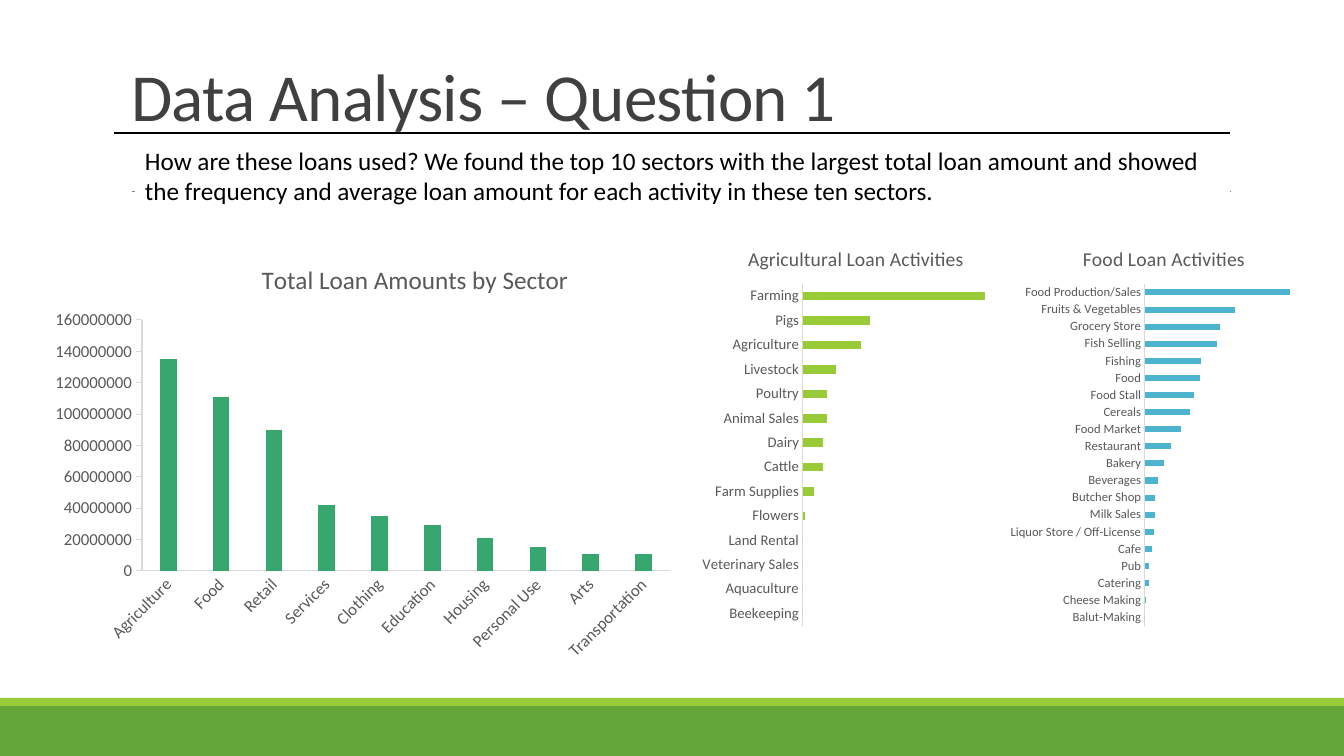
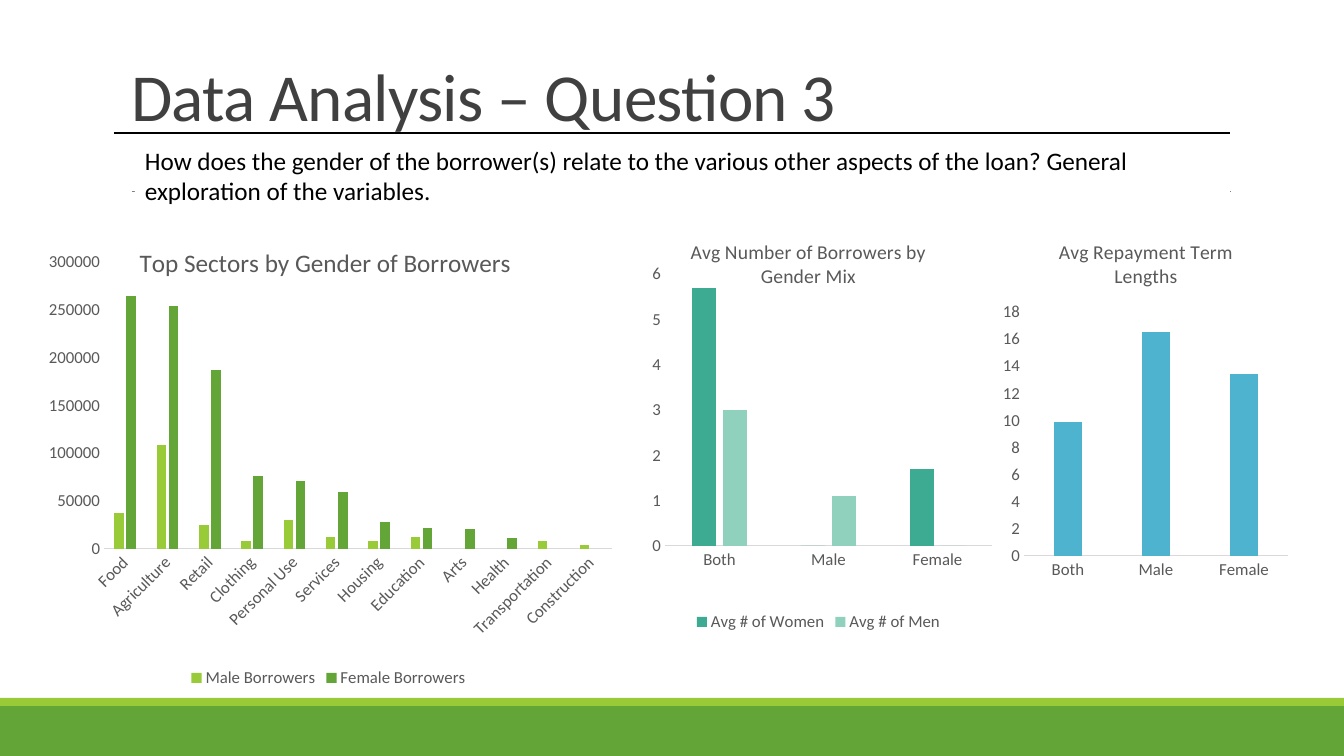
from lxml.etree import SubElement
from pptx import Presentation
from pptx.chart.data import CategoryChartData
from pptx.dml.color import RGBColor
from pptx.enum.chart import XL_CHART_TYPE as CT, XL_LEGEND_POSITION as LEGEND, XL_TICK_MARK as TICK
from pptx.enum.shapes import MSO_CONNECTOR as CONN, MSO_SHAPE as SHAPE
from pptx.enum.text import MSO_ANCHOR as ANCHOR, MSO_AUTO_SIZE as AUTO, PP_ALIGN as ALIGN
from pptx.oxml import parse_xml
from pptx.oxml.ns import nsdecls, qn
from pptx.util import Pt

PX = 12192000 / 1344
FONT = "Calibri"
BLACK = RGBColor(0x00, 0x00, 0x00)
WHITE = RGBColor(0xFF, 0xFF, 0xFF)
DARK = RGBColor(0x40, 0x40, 0x40)
GRAY = RGBColor(0x59, 0x59, 0x59)
MID_GRAY = RGBColor(0x80, 0x80, 0x80)
AXIS_GRAY = RGBColor(0xD9, 0xD9, 0xD9)
GREEN = RGBColor(0x63, 0xA5, 0x37)
LIME = RGBColor(0x99, 0xCB, 0x38)
EMERALD = RGBColor(0x37, 0xA7, 0x6F)
TEAL = RGBColor(0x3C, 0xAB, 0x91)
MINT = RGBColor(0x90, 0xD1, 0xBD)
BLUE = RGBColor(0x4E, 0xB3, 0xCF)


def emu(*lengths):
    return [round(n * PX) for n in lengths]


def set_text(tf, text, size=18, color=BLACK, align=ALIGN.LEFT, anchor=ANCHOR.TOP,
             line_spacing=None, spacing=None):
    tf.word_wrap = True
    tf.auto_size = AUTO.NONE
    tf.vertical_anchor = anchor
    p = tf.paragraphs[0]
    p.alignment = align
    p.line_spacing = line_spacing
    r = p.add_run()
    r.text = text
    r.font.name, r.font.size, r.font.color.rgb = FONT, Pt(size), color
    if spacing is not None:
        p.font.size = Pt(size)
        for rPr in tf._element.iter(qn("a:rPr")):
            rPr.set("spc", str(spacing))


# Slide content: box, plot and title_at are in px on the slide
SLIDES = [
    dict(
        title="Data Analysis – Question 1",
        question="How are these loans used? We found the top 10 sectors with the largest total "
                 "loan amount and showed the frequency and average loan amount for each activity "
                 "in these ten sectors.",
        question_height=132,
        charts=[
            dict(title="Total Loan Amounts by Sector", title_size=18, title_at=(257, 258),
                 box=(43, 239, 639, 431), plot=(142, 320, 528, 251), axis_line=True, slanted=True,
                 cats=["Agriculture", "Food", "Retail", "Services", "Clothing", "Education",
                       "Housing", "Personal Use", "Arts", "Transportation"],
                 series=[("Series 1", EMERALD,
                          [135000000, 111000000, 90000000, 42000000, 35000000, 29000000,
                           21000000, 15000000, 11000000, 11000000])]),
            dict(title="Agricultural Loan Activities", bars=True, label_size=10.5,
                 box=(697, 228, 318, 407), plot=(803, 284, 182, 342),
                 cats=["Farming", "Pigs", "Agriculture", "Livestock", "Poultry", "Animal Sales",
                       "Dairy", "Cattle", "Farm Supplies", "Flowers", "Land Rental",
                       "Veterinary Sales", "Aquaculture", "Beekeeping"],
                 series=[("Series 1", LIME,
                          [100, 37, 32, 18, 13, 13, 11, 11, 6, 1, 0, 0, 0, 0])]),
            dict(title="Food Loan Activities", bars=True, label_size=9,
                 box=(1005, 228, 318, 407), plot=(1145, 284, 145, 342),
                 cats=["Food Production/Sales", "Fruits & Vegetables", "Grocery Store",
                       "Fish Selling", "Fishing", "Food", "Food Stall", "Cereals", "Food Market",
                       "Restaurant", "Bakery", "Beverages", "Butcher Shop", "Milk Sales",
                       "Liquor Store / Off-License", "Cafe", "Pub", "Catering",
                       "Cheese Making", "Balut-Making"],
                 series=[("Series 1", BLUE,
                          [100, 62, 52, 50, 39, 38, 34, 31, 25, 18,
                           13, 9, 7, 7, 6, 5, 3, 3, 1, 0])]),
        ]),
    dict(
        title="Data Analysis – Question 3",
        question="How does the gender of the borrower(s) relate to the various other aspects of "
                 "the loan? General exploration of the variables.",
        question_height=102,
        charts=[
            dict(title="Top Sectors by Gender of Borrowers", title_size=18, title_at=(135, 241),
                 box=(29, 218, 599, 474), plot=(104, 262, 508, 287), slanted=True,
                 cats=["Food", "Agriculture", "Retail", "Clothing", "Personal Use", "Services",
                       "Housing", "Education", "Arts", "Health", "Transportation",
                       "Construction"],
                 series=[("Male Borrowers", LIME,
                          [37000, 109000, 25000, 8000, 30000, 12000, 8000, 12000,
                           None, None, 8000, 4000]),
                         ("Female Borrowers", GREEN,
                          [264000, 254000, 187000, 76000, 71000, 59000, 28000, 22000,
                           21000, 11000, None, None])]),
            dict(title="Avg Number of Borrowers by Gender Mix", title_at=(687, 235),
                 box=(628, 222, 381, 414), plot=(665, 274, 327, 272),
                 cats=["Both", "Male", "Female"],
                 series=[("Avg # of Women", TEAL, [5.7, 0, 1.7]),
                         ("Avg # of Men", MINT, [3, 1.1, 0])]),
            dict(title="Avg Repayment Term Lengths",
                 box=(998, 222, 296, 365), plot=(1024, 312, 264, 244),
                 cats=["Both", "Male", "Female"],
                 series=[("Series 1", BLUE, [9.9, 16.5, 13.4])]),
        ]),
]

prs = Presentation()
prs.slide_width, prs.slide_height = emu(1344, 756)
layout = prs.slide_layouts[5]

for number, content in enumerate(SLIDES):
    s = prs.slides.add_slide(layout)

    # Bands and hairline, kept on the shared layout
    if number == 0:
        frame = []
        for top, height, color in [(706, 50, GREEN), (698, 8, LIME)]:
            band = s.shapes.add_shape(SHAPE.RECTANGLE, *emu(0, top, 1344, height))
            band.fill.solid()
            band.fill.fore_color.rgb = color
            band.line.fill.background()
            band.shadow.inherit = False
            frame.append(band)
        hairline = s.shapes.add_connector(CONN.STRAIGHT, *emu(132, 191, 1231, 191))
        hairline.line.color.rgb, hairline.line.width = MID_GRAY, Pt(0.5)
        SubElement(hairline.element.spPr, qn("a:effectLst"))
        for sp in frame + [hairline]:
            layout.element.cSld.spTree.append(sp.element)

    # Title
    title = s.shapes.title
    title.left, title.top, title.width, title.height = emu(121, 60, 1109, 80)
    set_text(title.text_frame, content["title"], size=48, color=DARK, anchor=ANCHOR.BOTTOM,
             line_spacing=0.85, spacing=-50)

    # Question
    question = s.shapes.add_shape(SHAPE.RECTANGLE,
                                  *emu(135, 140, 1095, content["question_height"]))
    question.fill.solid()
    question.fill.fore_color.rgb = WHITE
    question.line.fill.background()
    question.shadow.inherit = False
    set_text(question.text_frame, content["question"])

    # Rule under the title
    rule = s.shapes.add_connector(CONN.STRAIGHT, *emu(114, 133, 1230, 133))
    rule.line.color.rgb, rule.line.width = BLACK, Pt(1)
    SubElement(rule.element.spPr, qn("a:effectLst"))

    # Charts
    for c in content["charts"]:
        bars = c.get("bars", False)
        data = CategoryChartData()
        data.categories = c["cats"]
        for name, color, values in c["series"]:
            data.add_series(name, values)
        kind = CT.BAR_CLUSTERED if bars else CT.COLUMN_CLUSTERED
        chart = s.shapes.add_chart(kind, *emu(*c["box"]), data).chart
        chart.font.name, chart.font.size, chart.font.color.rgb = FONT, Pt(10), BLACK

        chart.has_title = True
        p = chart.chart_title.text_frame.paragraphs[0]
        r = p.add_run()
        r.text = c["title"]
        r.font.name, r.font.size = FONT, Pt(c.get("title_size", 14))
        r.font.bold, r.font.color.rgb = False, GRAY

        plot = chart.plots[0]
        plot.vary_by_categories = False
        plot.gap_width = 182 if bars else 219
        plot.overlap = 0 if bars else -27
        for series, (name, color, values) in zip(plot.series, c["series"]):
            series.format.fill.solid()
            series.format.fill.fore_color.rgb = color
            series.invert_if_negative = False

        cat_axis, val_axis = chart.category_axis, chart.value_axis
        label_fonts = [cat_axis.tick_labels.font, val_axis.tick_labels.font]
        for axis in (cat_axis, val_axis):
            axis.has_major_gridlines = False
            axis.major_tick_mark = axis.minor_tick_mark = TICK.NONE
            axis.format.line.color.rgb, axis.format.line.width = AXIS_GRAY, Pt(0.75)
        if bars:
            cat_axis.reverse_order = True
            val_axis.minimum_scale, val_axis.maximum_scale = 0, 100
            val_axis.visible = False
        elif c.get("axis_line"):
            val_axis.major_tick_mark = TICK.OUTSIDE
        else:
            val_axis.format.line.fill.background()

        chart.has_legend = len(c["series"]) > 1
        if chart.has_legend:
            chart.legend.position = LEGEND.BOTTOM
            chart.legend.include_in_layout = False
            label_fonts.append(chart.legend.font)
        for font in label_fonts:
            font.name, font.size = FONT, Pt(c.get("label_size", 12))
            font.color.rgb = GRAY

        # Slanted labels and manual places of plot and title
        root = chart.element
        if c.get("slanted"):
            root.xpath(".//c:catAx/c:txPr/a:bodyPr")[0].set("rot", "-2700000")
        left, top, width, height = c["box"]
        title_el = root.xpath("c:chart/c:title")[0]
        places = [(root.xpath(".//c:plotArea")[0], 0, c["plot"])]
        if "title_at" in c:
            places.append((title_el, 1, c["title_at"]))
            for overlay in title_el.findall(qn("c:overlay")):
                overlay.set("val", "1")
        for parent, index, place in places:
            for old in parent.findall(qn("c:layout")):
                parent.remove(old)
            parts = ['<c:layoutTarget val="inner"/>'] if len(place) == 4 else []
            parts += ['<c:xMode val="edge"/>', '<c:yMode val="edge"/>']
            shares = [(place[0] - left) / width, (place[1] - top) / height]
            shares += [n / full for n, full in zip(place[2:], (width, height))]
            parts += [f'<c:{key} val="{n:.4f}"/>' for key, n in zip("xywh", shares)]
            parent.insert(index, parse_xml(
                f'<c:layout {nsdecls("c")}><c:manualLayout>{"".join(parts)}'
                "</c:manualLayout></c:layout>"))

prs.save("out.pptx")
